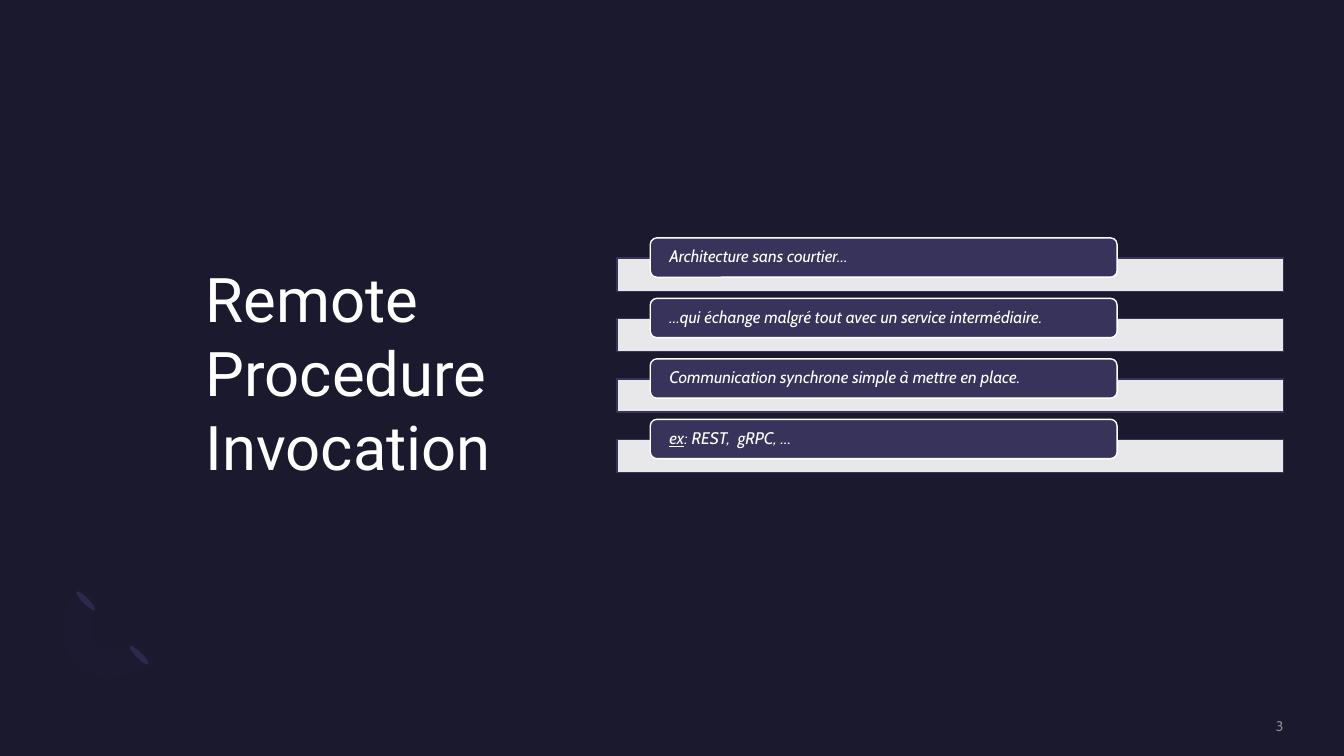
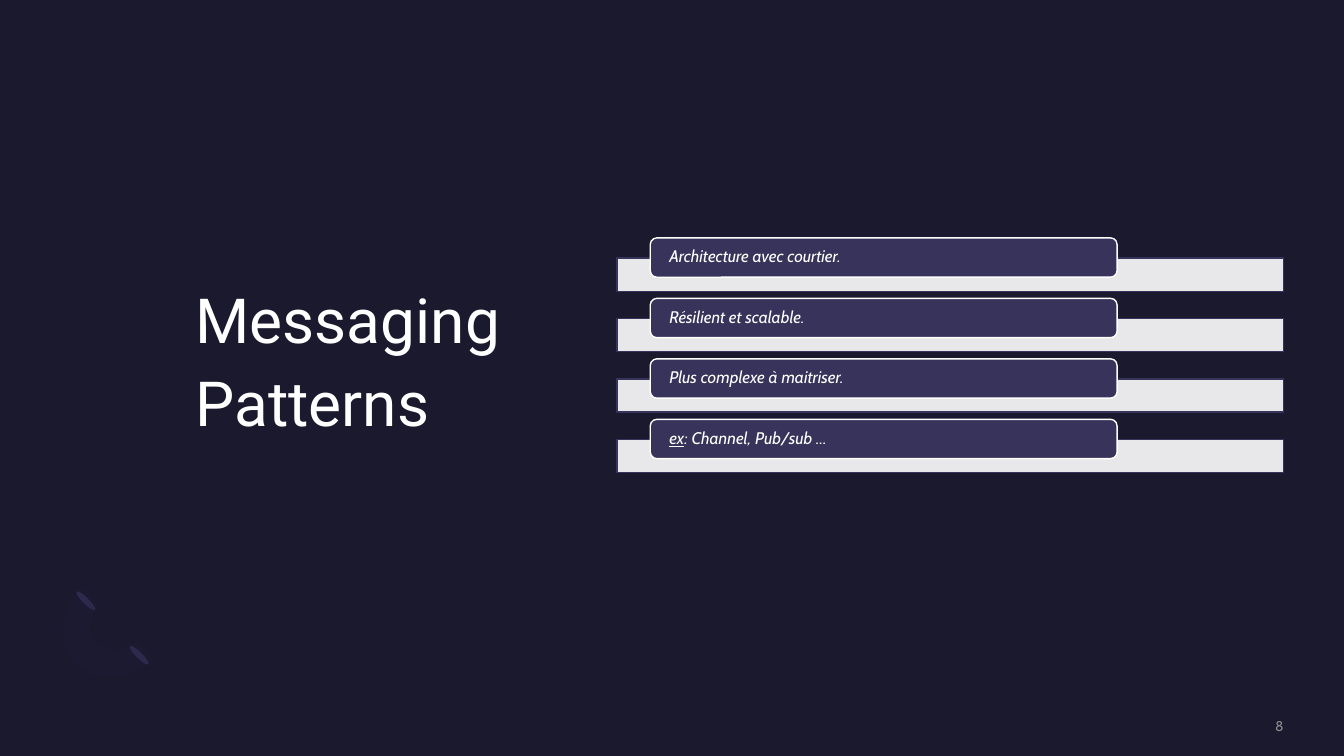
import pptx
import pptx.util
import pptx.dml.color
import pptx.enum.shapes
import pptx.enum.text
import pptx.oxml

Inches = pptx.util.Inches
Pt = pptx.util.Pt
RGBColor = pptx.dml.color.RGBColor
MSO_SHAPE = pptx.enum.shapes.MSO_SHAPE
MSO_ANCHOR = pptx.enum.text.MSO_ANCHOR
PP_ALIGN = pptx.enum.text.PP_ALIGN

NIGHT = RGBColor(0x1B, 0x19, 0x2E)
INDIGO = RGBColor(0x37, 0x33, 0x5B)
DUSK = RGBColor(0x2C, 0x28, 0x4A)
LAVENDER = RGBColor(0x77, 0x71, 0xB2)
WHITE = RGBColor(0xFF, 0xFF, 0xFF)
GRAY = RGBColor(0xA6, 0xA6, 0xA6)

HEAD_FONT = "Roboto"
BODY_FONT = "Cabin"

ROW_TOP = 2.36
ROW_PITCH = 0.6

# Each curve: start, two control points, end
CRESCENT = [
    [(0.76, 6.59), (0.56, 6.39), (0.58, 6.05), (0.81, 5.82)],
    [(0.99, 6), (0.87, 6.11), (0.86, 6.29), (0.96, 6.38)],
    [(0.96, 6.38), (1.06, 6.48), (1.23, 6.47), (1.35, 6.36)],
    [(1.52, 6.54), (1.3, 6.76), (0.95, 6.79), (0.76, 6.59)],
]


def curve_points(curve, steps=12):
    """Sample a cubic Bezier curve as points in EMU."""
    points = []
    for i in range(steps + 1):
        t = i / steps
        weights = ((1 - t) ** 3, 3 * t * (1 - t) ** 2, 3 * t * t * (1 - t), t ** 3)
        points.append(tuple(
            Inches(sum(w * pt[axis] for w, pt in zip(weights, curve)))
            for axis in (0, 1)))
    return points


def set_opacity(sp, percent):
    """Set the opacity of the first colour in the shape."""
    color = sp.element.find(".//" + pptx.oxml.ns.qn("a:srgbClr"))
    alpha = color.makeelement(pptx.oxml.ns.qn("a:alpha"), {"val": str(percent * 1000)})
    color.append(alpha)


def add_text(p, text, size=12, font=BODY_FONT, color=WHITE, italic=False, underline=False):
    r = p.add_run()
    r.text = text
    r.font.size = Pt(size)
    r.font.name = font
    r.font.color.rgb = color
    r.font.italic = italic
    r.font.underline = underline


class Deck:
    def __init__(self):
        self.prs = pptx.Presentation()
        self.prs.slide_width = Inches(13.33)
        self.prs.slide_height = Inches(7.5)
        self.layout = self.prs.slide_layouts.get_by_name("Title Only")
        fill = self.prs.slide_master.background.fill
        fill.solid()
        fill.fore_color.rgb = NIGHT
        self.slide = None

    def new_slide(self):
        self.slide = self.prs.slides.add_slide(self.layout)

    def paint(self, sp, fill, line=None):
        sp.shadow.inherit = False
        sp.fill.solid()
        sp.fill.fore_color.rgb = fill
        if line is None:
            sp.line.fill.background()
        else:
            sp.line.color.rgb = line
            sp.line.width = Pt(1)

    def shape(self, kind, left, top, width, height, fill, line=None):
        sp = self.slide.shapes.add_shape(
            kind, Inches(left), Inches(top), Inches(width), Inches(height))
        self.paint(sp, fill, line)
        return sp

    def frame(self, sp, anchor, inset=0):
        tf = sp.text_frame
        tf.word_wrap = True
        tf.auto_size = pptx.enum.text.MSO_AUTO_SIZE.NONE
        tf.vertical_anchor = anchor
        tf.margin_left = tf.margin_right = Inches(inset)
        tf.margin_top = tf.margin_bottom = 0
        return tf

    def ornament(self):
        """Draw the corner motif and move it to the shared layout."""
        parts = []
        for left, top in ((1.35, 6.37), (0.82, 5.83)):
            sp = self.shape(MSO_SHAPE.OVAL, left, top, 0.06, 0.26, DUSK)
            sp.rotation = 135
            parts.append(sp)
        points = [pt for curve in CRESCENT for pt in curve_points(curve)]
        builder = self.slide.shapes.build_freeform(*points[0], scale=1.0)
        builder.add_line_segments(points[1:], close=True)
        crescent = builder.convert_to_shape()
        self.paint(crescent, LAVENDER)
        set_opacity(crescent, 2)
        parts.append(crescent)
        for sp in parts:
            self.layout.shapes.element.append(sp.element)

    def title(self, lines, left, top, width, height, size):
        sp = self.slide.shapes.title
        sp.left, sp.top = Inches(left), Inches(top)
        sp.width, sp.height = Inches(width), Inches(height)
        tf = self.frame(sp, MSO_ANCHOR.TOP)
        for i, line in enumerate(lines):
            p = tf.add_paragraph() if i else tf.paragraphs[0]
            p.alignment = PP_ALIGN.LEFT
            p.space_after = Pt(6)
            add_text(p, line, size=size, font=HEAD_FONT)

    def page_number(self, number):
        sp = self.slide.shapes.add_textbox(
            Inches(10.88), Inches(7.12), Inches(1.85), Inches(0.17))
        p = self.frame(sp, MSO_ANCHOR.MIDDLE).paragraphs[0]
        p.alignment = PP_ALIGN.RIGHT
        add_text(p, number, size=10, color=GRAY)
        set_opacity(sp, 80)

    def row(self, top, text, lead=""):
        """Draw a pale bar with a label on it; lead is underlined."""
        bar = self.shape(MSO_SHAPE.RECTANGLE, 6.12, top + 0.2, 6.61, 0.33, WHITE, INDIGO)
        set_opacity(bar, 90)
        label = self.shape(MSO_SHAPE.ROUNDED_RECTANGLE, 6.45, top, 4.63, 0.39, INDIGO, WHITE)
        p = self.frame(label, MSO_ANCHOR.MIDDLE, inset=0.17).paragraphs[0]
        p.alignment = PP_ALIGN.LEFT
        p.line_spacing = 0.9
        if lead:
            add_text(p, lead, italic=True, underline=True)
        add_text(p, text, italic=True)

    def rows(self, texts, example):
        for i, text in enumerate(texts):
            self.row(ROW_TOP + i * ROW_PITCH, text)
        self.row(ROW_TOP + len(texts) * ROW_PITCH, example, lead="ex")


def main():
    deck = Deck()

    deck.new_slide()
    deck.ornament()
    deck.title(["Remote Procedure Invocation"], 2.04, 2.59, 3.8, 1.87, size=44)
    deck.page_number("3")
    deck.rows(["Architecture sans courtier…",
               "…qui échange malgré tout avec un service intermédiaire.",
               "Communication synchrone simple à mettre en place."],
              ": REST,  gRPC, …")

    deck.new_slide()
    deck.title(["Messaging", "Patterns"], 1.94, 2.79, 3.07, 1.46, size=44.4)
    deck.page_number("8")
    deck.rows(["Architecture avec courtier.",
               "Résilient et scalable.",
               "Plus complexe à maitriser."],
              ": Channel, Pub/sub …")

    deck.prs.save("out.pptx")


if __name__ == "__main__":
    main()
